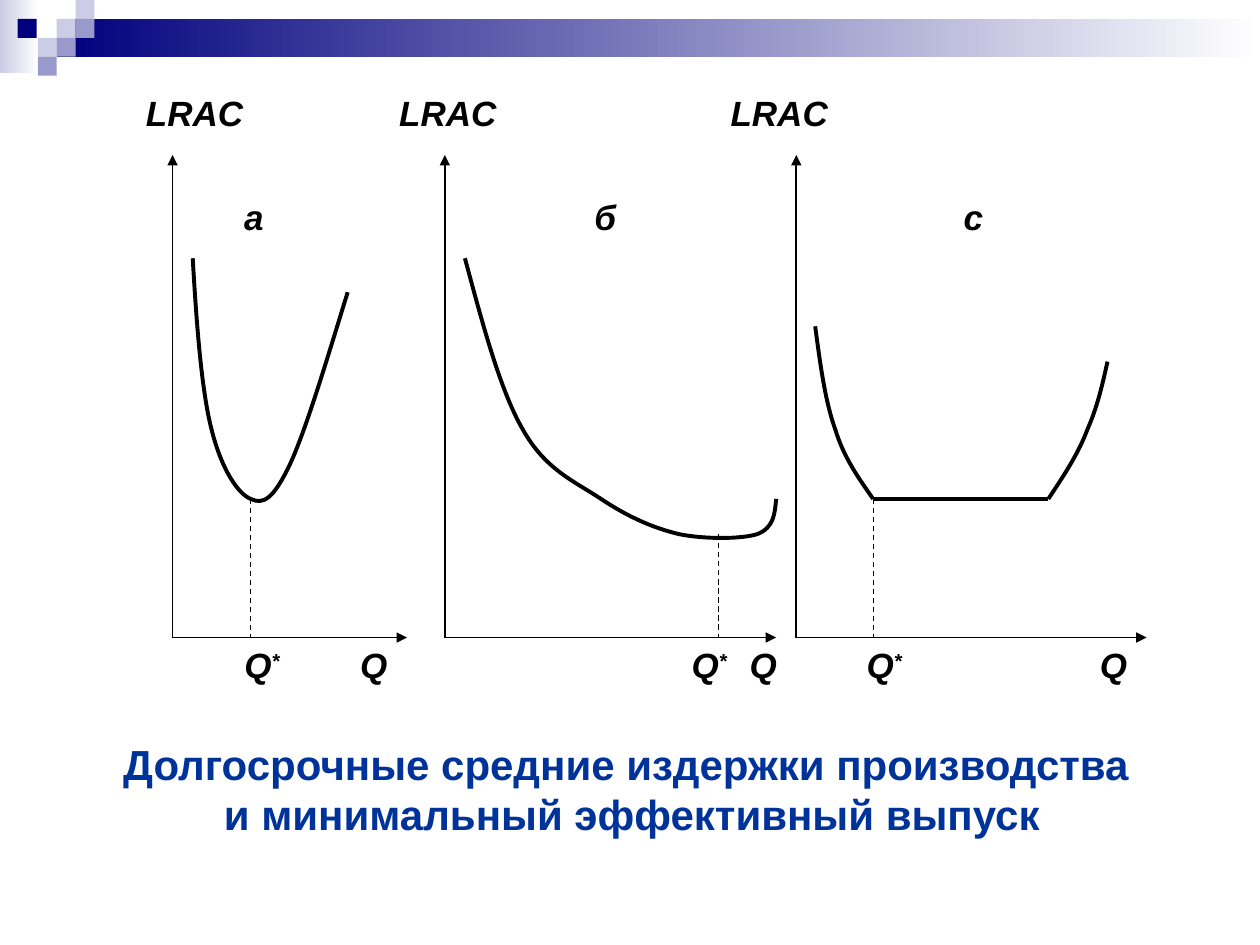
from dataclasses import dataclass

from lxml import etree
from pptx import Presentation
from pptx.dml.color import RGBColor
from pptx.enum.dml import MSO_LINE
from pptx.enum.shapes import MSO_CONNECTOR, MSO_SHAPE
from pptx.enum.text import MSO_ANCHOR, MSO_AUTO_SIZE, PP_ALIGN
from pptx.oxml.ns import qn
from pptx.util import Inches, Pt

Point = tuple[float, float]

BLACK = RGBColor(0x00, 0x00, 0x00)
WHITE = RGBColor(0xFF, 0xFF, 0xFF)
NAVY = RGBColor(0x00, 0x00, 0x7D)
LILAC = RGBColor(0xCC, 0xCC, 0xE6)
VIOLET = RGBColor(0x99, 0x99, 0xCC)
TITLE_BLUE = RGBColor(0x00, 0x33, 0x99)

FONT = "Arial"
AXIS_TOP = 1.23
AXIS_BOTTOM = 5.06
LABEL_HEIGHT = 0.82
TILE = 0.15


@dataclass
class Label:
    text: str
    left: float
    top: float
    width: float
    superscript: str = ""


@dataclass
class Graph:
    name: str
    name_left: float
    origin: float
    axis_end: float
    axis_label_left: float
    quantity_label_left: float
    cost_label_left: float
    optimum: Point
    curves: list[list[Point]]
    plateau: tuple[Point, ...] = ()


GRAPHS = [
    Graph("а", 1.84, 1.37, 3.23, 2.76, 1.84, 1.06, (1.99, 3.96), [
        [(1.53, 2.05), (1.56, 2.57), (1.6, 3.1), (1.68, 3.41),
         (1.76, 3.73), (1.89, 3.92), (1.99, 3.96),
         (2.09, 4.01), (2.17, 3.96), (2.3, 3.69),
         (2.43, 3.41), (2.59, 2.87), (2.76, 2.32)],
    ]),
    Graph("б", 4.62, 3.53, 6.16, 5.85, 5.39, 3.07, (5.7, 4.24), [
        [(3.69, 2.05), (3.83, 2.57), (3.97, 3.1), (4.15, 3.41),
         (4.33, 3.73), (4.56, 3.82), (4.77, 3.96),
         (4.98, 4.1), (5.18, 4.19), (5.39, 4.24),
         (5.59, 4.28), (5.88, 4.28), (6.01, 4.24),
         (6.14, 4.19), (6.15, 4.08), (6.16, 3.96)],
    ]),
    Graph("с", 7.55, 6.32, 9.1, 8.63, 6.78, 5.7, (6.93, 3.96), [
        [(6.47, 2.59), (6.51, 2.89), (6.55, 3.19), (6.63, 3.41),
         (6.7, 3.64), (6.82, 3.8), (6.93, 3.96)],
        [(8.32, 3.96), (8.44, 3.78), (8.56, 3.6), (8.63, 3.41),
         (8.71, 3.23), (8.75, 3.05), (8.79, 2.87)],
    ], ((6.93, 3.96), (8.32, 3.96))),
]

BANDS = [
    (0, 0, 0.31, 0.58, LILAC),
    (0.45, 0.15, 9.55, 0.3, NAVY),
]
TILES = [
    (0.45, 0.15, LILAC),
    (0.6, 0, LILAC),
    (0.6, 0.15, VIOLET),
    (0.3, 0.3, LILAC),
    (0.14, 0.15, NAVY),
    (0.45, 0.3, VIOLET),
    (0.3, 0.45, VIOLET),
]
TITLE_LINES = [
    "Долгосрочные средние издержки производства ",
    "и минимальный эффективный выпуск",
]


def add_rectangle(slide, left: float, top: float, width: float, height: float,
                  color: RGBColor, fades: bool = False) -> None:
    shape = slide.shapes.add_shape(
        MSO_SHAPE.RECTANGLE, Inches(left), Inches(top), Inches(width), Inches(height))
    shape.shadow.inherit = False
    shape.line.fill.background()
    if fades:
        shape.fill.gradient()
        shape.fill.gradient_angle = 0
        for stop, stop_color in zip(shape.fill.gradient_stops, (color, WHITE)):
            stop.color.rgb = stop_color
    else:
        shape.fill.solid()
        shape.fill.fore_color.rgb = color


def add_line(slide, start: Point, end: Point, weight: float,
             arrow: bool = False, dashed: bool = False) -> None:
    connector = slide.shapes.add_connector(
        MSO_CONNECTOR.STRAIGHT, *map(Inches, (*start, *end)))
    connector.line.color.rgb = BLACK
    connector.line.width = Pt(weight)
    if dashed:
        connector.line.dash_style = MSO_LINE.DASH
    properties = connector._element.spPr
    if arrow:
        etree.SubElement(properties.find(qn("a:ln")), qn("a:tailEnd"), type="triangle")
    etree.SubElement(properties, qn("a:effectLst"))


def add_curve(slide, points: list[Point]) -> None:
    corners = [(Inches(x), Inches(y)) for x, y in points]
    builder = slide.shapes.build_freeform(*corners[0])
    builder.add_line_segments(corners[1:], close=False)
    shape = builder.convert_to_shape()
    shape.shadow.inherit = False
    shape.fill.background()
    shape.line.color.rgb = BLACK
    shape.line.width = Pt(2.25)
    outline = next(shape._element.iter(qn("a:path")))
    segments = outline.findall(qn("a:lnTo"))
    for first in range(0, len(segments), 3):
        bezier = etree.SubElement(outline, qn("a:cubicBezTo"))
        for segment in segments[first:first + 3]:
            bezier.append(segment[0])
            outline.remove(segment)


def add_run(paragraph, text: str, size: float, color: RGBColor, italic: bool):
    run = paragraph.add_run()
    run.text = text
    run.font.name = FONT
    run.font.size = Pt(size)
    run.font.bold = True
    run.font.italic = italic
    run.font.color.rgb = color
    return run


def add_label(slide, label: Label) -> None:
    box = slide.shapes.add_textbox(
        Inches(label.left), Inches(label.top), Inches(label.width), Inches(LABEL_HEIGHT))
    box.text_frame.word_wrap = True
    paragraph = box.text_frame.paragraphs[0]
    add_run(paragraph, label.text, 20, BLACK, True)
    if label.superscript:
        run = add_run(paragraph, label.superscript, 20, BLACK, True)
        run.font._element.set("baseline", "30000")


def add_graph(slide, graph: Graph) -> None:
    origin = (graph.origin, AXIS_BOTTOM)
    add_line(slide, origin, (graph.origin, AXIS_TOP), 1, arrow=True)
    add_line(slide, origin, (graph.axis_end, AXIS_BOTTOM), 1, arrow=True)
    for curve in graph.curves:
        add_curve(slide, curve)
    if graph.plateau:
        add_line(slide, *graph.plateau, 2.25)
    add_line(slide, graph.optimum, (graph.optimum[0], AXIS_BOTTOM), 0.75, dashed=True)
    for label in (
        Label(graph.name, graph.name_left, 1.5, 0.46),
        Label("Q", graph.quantity_label_left, AXIS_BOTTOM, 0.62, "*"),
        Label("Q", graph.axis_label_left, AXIS_BOTTOM, 0.62),
        Label("LRAC", graph.cost_label_left, 0.68, 1.24),
    ):
        add_label(slide, label)


def format_title(title) -> None:
    title.left, title.top = Inches(0.86), Inches(5.81)
    title.width, title.height = Inches(8.31), Inches(0.9)
    frame = title.text_frame
    frame.word_wrap = False
    frame.auto_size = MSO_AUTO_SIZE.NONE
    frame.vertical_anchor = MSO_ANCHOR.MIDDLE
    for index, line in enumerate(TITLE_LINES):
        paragraph = frame.add_paragraph() if index else frame.paragraphs[0]
        paragraph.alignment = PP_ALIGN.CENTER
        paragraph.line_spacing = 1.0
        paragraph.space_before = Pt(0)
        add_run(paragraph, line, 24, TITLE_BLUE, False)


presentation = Presentation()
presentation.slide_width, presentation.slide_height = Inches(10), Inches(7.5)
slide = presentation.slides.add_slide(presentation.slide_layouts[5])
for *band, color in BANDS:
    add_rectangle(slide, *band, color, fades=True)
for left, top, color in TILES:
    add_rectangle(slide, left, top, TILE, TILE, color)
for graph in GRAPHS:
    add_graph(slide, graph)
format_title(slide.shapes.title)
presentation.save("out.pptx")
